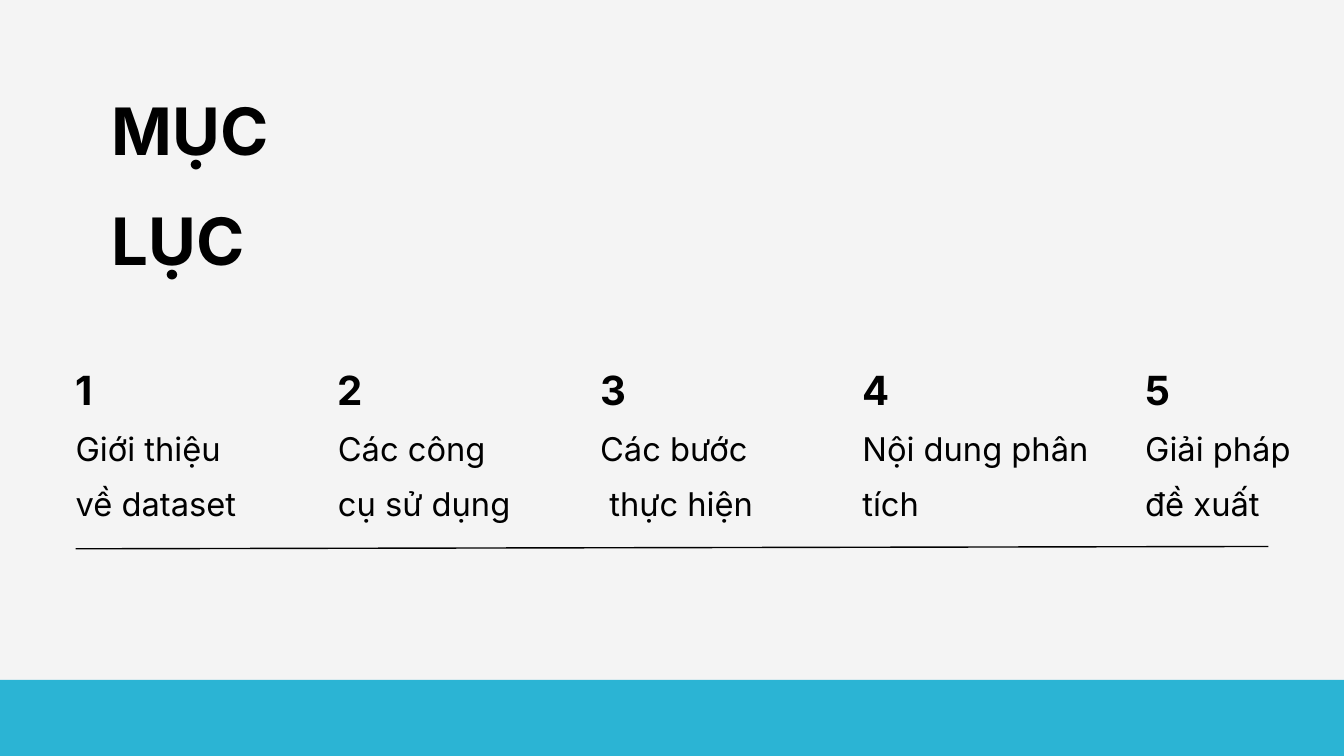
import pptx
import pptx.dml.color
import pptx.enum.shapes
import pptx.enum.text
import pptx.oxml
import pptx.util
from pptx.util import Pt

FONT = "Inter"
BLACK = "000000"
PAPER = "F4F4F4"
CYAN = "2BB4D4"

TOPICS = [
    ["Giới thiệu", "về dataset"],
    ["Các công", "cụ sử dụng"],
    ["Các bước", " thực hiện"],
    ["Nội dung phân tích"],
    ["Giải pháp", "đề xuất"],
]
TOPIC_LEFT = 81
TOPIC_PITCH = 281
LAST_TOPIC_LEFT = 1227


def color(value):
    return pptx.dml.color.RGBColor.from_string(value)


def add_text(slide, box, lines, size, spacing, bold=False):
    frame = slide.shapes.add_textbox(*map(Pt, box)).text_frame
    frame.margin_left = frame.margin_right = 0
    frame.margin_top = frame.margin_bottom = 0
    frame.word_wrap = True
    frame.auto_size = pptx.enum.text.MSO_AUTO_SIZE.SHAPE_TO_FIT_TEXT
    frame.text = "\n".join(lines)
    for paragraph in frame.paragraphs:
        paragraph.line_spacing = spacing
        for run in paragraph.runs:
            run.font.name = FONT
            run.font.size = Pt(size)
            run.font.bold = bold
            run.font.color.rgb = color(BLACK)


def add_title(slide, box):
    add_text(slide, box, ["MỤC LỤC"], 70, 1.4, bold=True)


def add_topic(slide, box, number, lines):
    left, top, width, height = box
    add_text(slide, (left, top, width, 52), [str(number)], 43, 1.2, bold=True)
    add_text(slide, (left, top + 62, width, height - 62), lines, 35, 1.4)


def add_topics(slide, box):
    left, top, width, height = box
    for index, lines in enumerate(TOPICS):
        is_last = index == len(TOPICS) - 1
        topic_left = LAST_TOPIC_LEFT if is_last else left + index * TOPIC_PITCH
        add_topic(slide, (topic_left, top, width, height), index + 1, lines)


def add_rule(slide, box):
    left, top, width, height = box
    rule = slide.shapes.add_connector(
        pptx.enum.shapes.MSO_CONNECTOR.STRAIGHT,
        Pt(left), Pt(top + height), Pt(left + width), Pt(top),
    )
    rule.line.color.rgb = color(BLACK)
    rule.line.width = Pt(1.5)
    properties = rule._element.spPr
    properties.append(pptx.oxml.parse_xml(
        '<a:effectLst xmlns:a="http://schemas.openxmlformats.org/drawingml/2006/main"/>'
    ))


def add_footer_band(slide, box):
    band = slide.shapes.add_shape(
        pptx.enum.shapes.MSO_SHAPE.RECTANGLE, *map(Pt, box)
    )
    band.shadow.inherit = False
    band.fill.solid()
    band.fill.fore_color.rgb = color(CYAN)
    band.line.fill.background()


def main():
    deck = pptx.Presentation()
    deck.slide_width = Pt(1440)
    deck.slide_height = Pt(810)
    slide = deck.slides.add_slide(deck.slide_layouts[6])
    slide.background.fill.solid()
    slide.background.fill.fore_color.rgb = color(PAPER)

    add_rule(slide, (81, 585.5, 1278, 2.5))
    add_title(slide, (120, 63.5, 318, 94))
    add_topics(slide, (TOPIC_LEFT, 381, 265, 156))
    add_footer_band(slide, (-38, 728.5, 1522, 115))
    deck.save("out.pptx")


if __name__ == "__main__":
    main()
